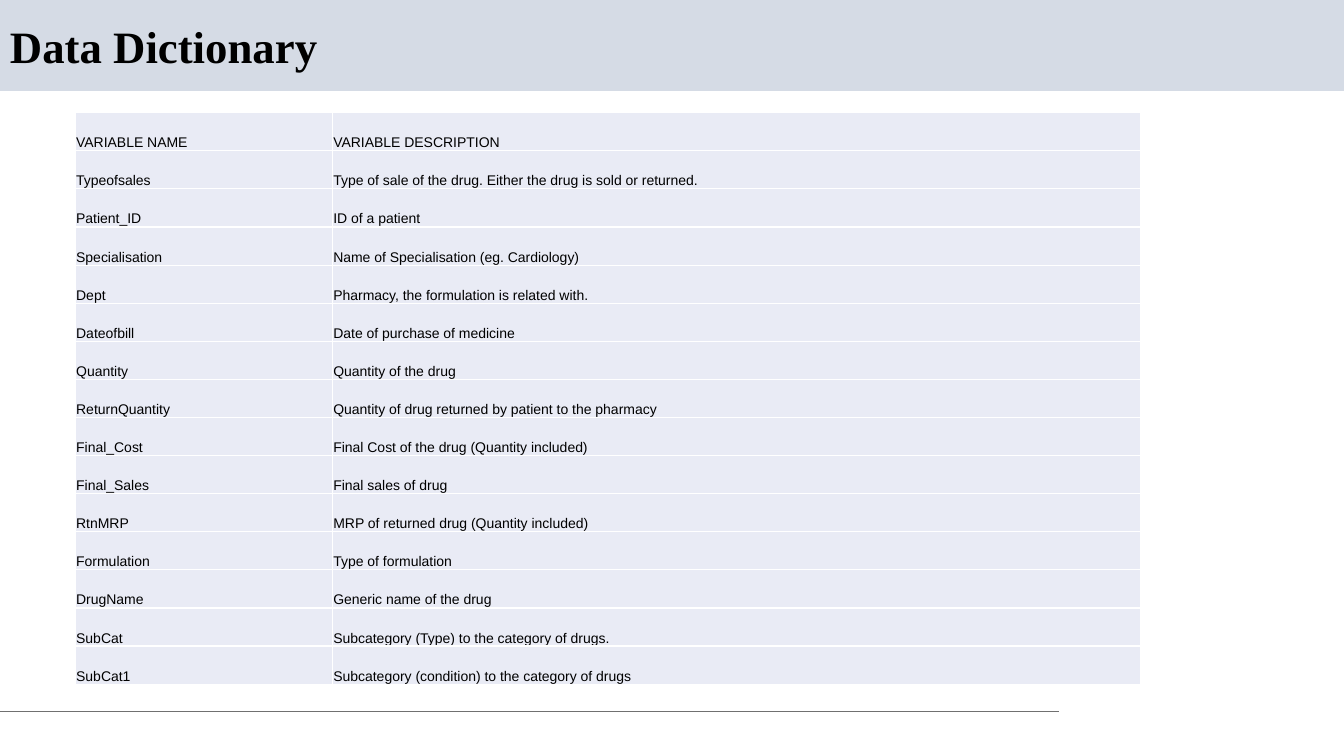
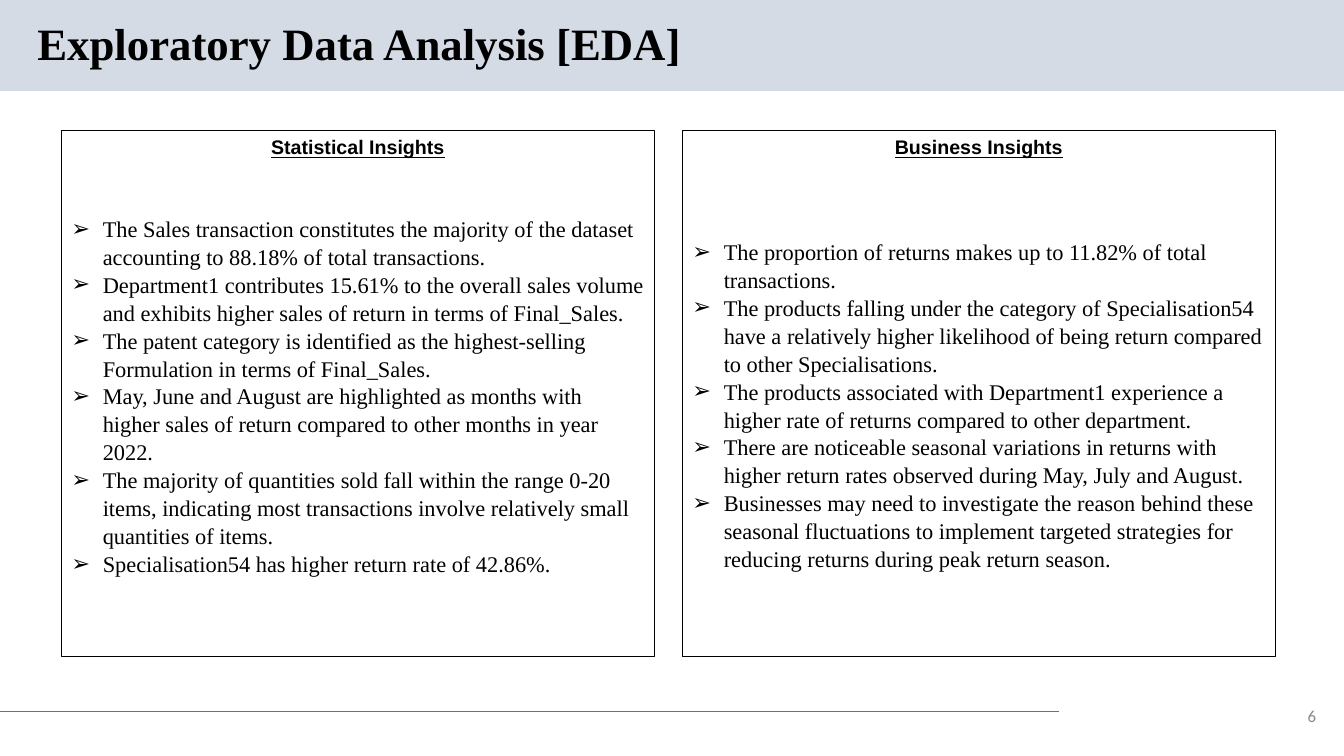
from dataclasses import dataclass

from lxml.etree import SubElement
from pptx import Presentation
from pptx.dml.color import RGBColor
from pptx.enum.shapes import MSO_CONNECTOR as Connector, MSO_SHAPE as Preset
from pptx.enum.text import MSO_ANCHOR as Anchor, MSO_AUTO_SIZE as AutoSize, PP_ALIGN as Align
from pptx.oxml.ns import qn
from pptx.util import Cm, Pt


@dataclass(frozen=True)
class Theme:
    band: str = "D5DBE5"
    rule: str = "707070"
    cell: str = "E9EBF5"
    ink: str = "000000"
    muted: str = "888888"
    serif: str = "Times New Roman"
    sans: str = "Arial"
    number_font: str = "Calibri"
    title_size: int = 32
    heading_size: int = 14
    list_size: int = 16
    table_size: int = 10
    number_size: int = 12
    line_width: float = 0.75


SLIDE_WIDTH, SLIDE_HEIGHT = 33.87, 19.05
TITLE_ONLY, COMPARISON = 5, 4
PANEL_LEFT, PANEL_TOP = 1.55, 3.28
PANEL_WIDTH, PANEL_HEIGHT, PANEL_GAP = 14.94, 13.26, 0.71

VARIABLES = [
    ("VARIABLE NAME", "VARIABLE DESCRIPTION"),
    ("Typeofsales", "Type of sale of the drug. Either the drug is sold or returned."),
    ("Patient_ID", "ID of a patient"),
    ("Specialisation", "Name of Specialisation (eg. Cardiology)"),
    ("Dept", "Pharmacy, the formulation is related with."),
    ("Dateofbill", "Date of purchase of medicine"),
    ("Quantity", "Quantity of the drug"),
    ("ReturnQuantity", "Quantity of drug returned by patient to the pharmacy"),
    ("Final_Cost", "Final Cost of the drug (Quantity included)"),
    ("Final_Sales", "Final sales of drug"),
    ("RtnMRP", "MRP of returned drug (Quantity included)"),
    ("Formulation", "Type of formulation"),
    ("DrugName", "Generic name of the drug"),
    ("SubCat", "Subcategory (Type) to the category of drugs."),
    ("SubCat1", "Subcategory (condition) to the category of drugs"),
]

STATISTICAL_INSIGHTS = [
    "The Sales transaction constitutes the majority of the dataset accounting to 88.18% of total transactions.",
    "Department1 contributes 15.61% to the overall sales volume and exhibits higher sales of return in terms of Final_Sales.",
    "The patent category is identified as the highest-selling Formulation in terms of Final_Sales.",
    "May, June and August are highlighted as months with higher sales of return compared to other months in year 2022.",
    "The majority of quantities sold fall within the range 0-20 items, indicating most transactions involve relatively small quantities of items.",
    "Specialisation54 has higher return rate of 42.86%.",
]

BUSINESS_INSIGHTS = [
    "The proportion of returns makes up to 11.82% of total transactions.",
    "The products falling under the category of Specialisation54 have a relatively higher likelihood of being return compared to other Specialisations.",
    "The products associated with Department1 experience a higher rate of returns compared to other department.",
    "There are noticeable seasonal variations in returns with higher return rates observed during May, July and August.",
    "Businesses may need to investigate the reason behind these seasonal fluctuations to implement targeted strategies for reducing returns during peak return season.",
]


class Deck:
    """Build slides that share one theme."""

    def __init__(self, theme):
        self.theme = theme
        self.presentation = Presentation()
        self.presentation.slide_width = Cm(SLIDE_WIDTH)
        self.presentation.slide_height = Cm(SLIDE_HEIGHT)
        self.slide = None

    def new_slide(self, layout):
        self.slide = self.presentation.slides.add_slide(self.presentation.slide_layouts[layout])

    def place(self, shape, left, top, width, height):
        shape.left, shape.top, shape.width, shape.height = map(Cm, (left, top, width, height))

    def set_text(self, frame, lines, font, size, color=None, bold=False, underline=False,
                 align=Align.LEFT, spacing=1.0):
        frame.text = "\n".join(lines)
        for paragraph in frame.paragraphs:
            paragraph.alignment = align
            paragraph.line_spacing = spacing
            paragraph.space_before = paragraph.space_after = Pt(0)
            for run in paragraph.runs:
                run.font.name, run.font.size = font, Pt(size)
                run.font.bold, run.font.underline = bold, underline
                run.font.color.rgb = RGBColor.from_string(color or self.theme.ink)

    def frame(self, shape, anchor, inset=0.13):
        frame = shape.text_frame
        frame.auto_size, frame.word_wrap = AutoSize.NONE, True
        frame.vertical_anchor = anchor
        frame.margin_left = frame.margin_right = Cm(0.25)
        frame.margin_top = frame.margin_bottom = Cm(inset)
        return frame

    def title(self, text, left, top, width):
        shape = self.slide.shapes.title
        self.place(shape, left, top, width, 1.5)
        self.set_text(self.frame(shape, Anchor.MIDDLE), [text], self.theme.serif,
                      self.theme.title_size, bold=True, spacing=0.9)

    def heading(self, placeholder, text, left, top, width):
        shape = self.slide.placeholders[placeholder]
        self.place(shape, left, top, width, 0.86)
        self.set_text(self.frame(shape, Anchor.TOP), [text], self.theme.sans,
                      self.theme.heading_size, bold=True, underline=True, align=Align.CENTER)

    def bullets(self, placeholder, lines, left, top, width, height, inset):
        shape = self.slide.placeholders[placeholder]
        self.place(shape, left, top, width, height)
        frame = self.frame(shape, Anchor.TOP, inset)
        self.set_text(frame, lines, self.theme.serif, self.theme.list_size, spacing=1.04)
        for paragraph in frame.paragraphs:
            properties = paragraph._p.get_or_add_pPr()
            properties.set("marL", str(Cm(0.79)))
            properties.set("indent", str(-Cm(0.79)))
            color = SubElement(properties, qn("a:buClr"))
            SubElement(color, qn("a:srgbClr"), val=self.theme.ink)
            SubElement(properties, qn("a:buChar"), char="➢")

    def box(self, left, top, width, height, fill=None, line=None):
        shape = self.slide.shapes.add_shape(Preset.RECTANGLE, *map(Cm, (left, top, width, height)))
        shape.shadow.inherit = False
        if fill:
            shape.fill.solid()
            shape.fill.fore_color.rgb = RGBColor.from_string(fill)
        else:
            shape.fill.background()
        if line:
            shape.line.color.rgb = RGBColor.from_string(line)
            shape.line.width = Pt(self.theme.line_width)
        else:
            shape.line.fill.background()
        return shape

    def rule(self, left, right, top):
        line = self.slide.shapes.add_connector(
            Connector.STRAIGHT, Cm(left), Cm(top), Cm(right), Cm(top))
        line.line.color.rgb = RGBColor.from_string(self.theme.rule)
        line.line.width = Pt(self.theme.line_width)
        SubElement(line.element.spPr, qn("a:effectLst"))
        return line

    def panel(self, column, heading, lines, list_top, list_height, inset):
        left = PANEL_LEFT + column * (PANEL_WIDTH + PANEL_GAP)
        self.box(left, PANEL_TOP, PANEL_WIDTH, PANEL_HEIGHT, line=self.theme.ink)
        self.heading(1 + 2 * column, heading, left, PANEL_TOP, PANEL_WIDTH)
        self.bullets(2 + 2 * column, lines, left, list_top, PANEL_WIDTH, list_height, inset)

    def table(self, rows, left, top, widths, row_height):
        table = self.slide.shapes.add_table(
            len(rows), len(widths), Cm(left), Cm(top),
            Cm(sum(widths)), Cm(row_height * len(rows))).table
        table.first_row = table.horz_banding = False
        for column, width in zip(table.columns, widths):
            column.width = Cm(width)
        for row, texts in zip(table.rows, rows):
            row.height = Cm(row_height)
            for cell, text in zip(row.cells, texts):
                cell.fill.solid()
                cell.fill.fore_color.rgb = RGBColor.from_string(self.theme.cell)
                cell.vertical_anchor = Anchor.BOTTOM
                cell.margin_left = cell.margin_right = cell.margin_top = Cm(0.02)
                cell.margin_bottom = 0
                self.set_text(cell.text_frame, [text], self.theme.sans, self.theme.table_size)

    def page_number(self, number):
        shape = self.slide.shapes.add_textbox(Cm(32.33), Cm(17.63), Cm(1.09), Cm(0.81))
        self.set_text(self.frame(shape, Anchor.MIDDLE), [number], self.theme.number_font,
                      self.theme.number_size, color=self.theme.muted, align=Align.RIGHT)

    def decorate_master(self):
        tree = self.presentation.slide_master.shapes.element
        band = self.box(0, 0, SLIDE_WIDTH, 2.29, fill=self.theme.band)
        rule = self.rule(0, 26.7, 17.93)
        for offset, shape in enumerate((band, rule)):
            shape.element.xpath(".//p:cNvPr")[0].set("id", str(101 + offset))
            tree.insert(2 + offset, shape.element)


def main():
    deck = Deck(Theme())

    deck.new_slide(TITLE_ONLY)
    deck.decorate_master()
    deck.title("Data Dictionary", 0, 0.48, 29.21)
    deck.table(VARIABLES, 1.9, 2.84, (6.48, 20.37), 0.96)

    deck.new_slide(COMPARISON)
    deck.title("Exploratory Data Analysis [EDA]", 0.69, 0.41, 25.68)
    deck.panel(0, "Statistical Insights", STATISTICAL_INSIGHTS, 5.26, 10.44, 0.13)
    deck.panel(1, "Business Insights", BUSINESS_INSIGHTS, 5.72, 9.91, 0.25)
    deck.page_number("6")

    deck.presentation.save("out.pptx")


if __name__ == "__main__":
    main()
